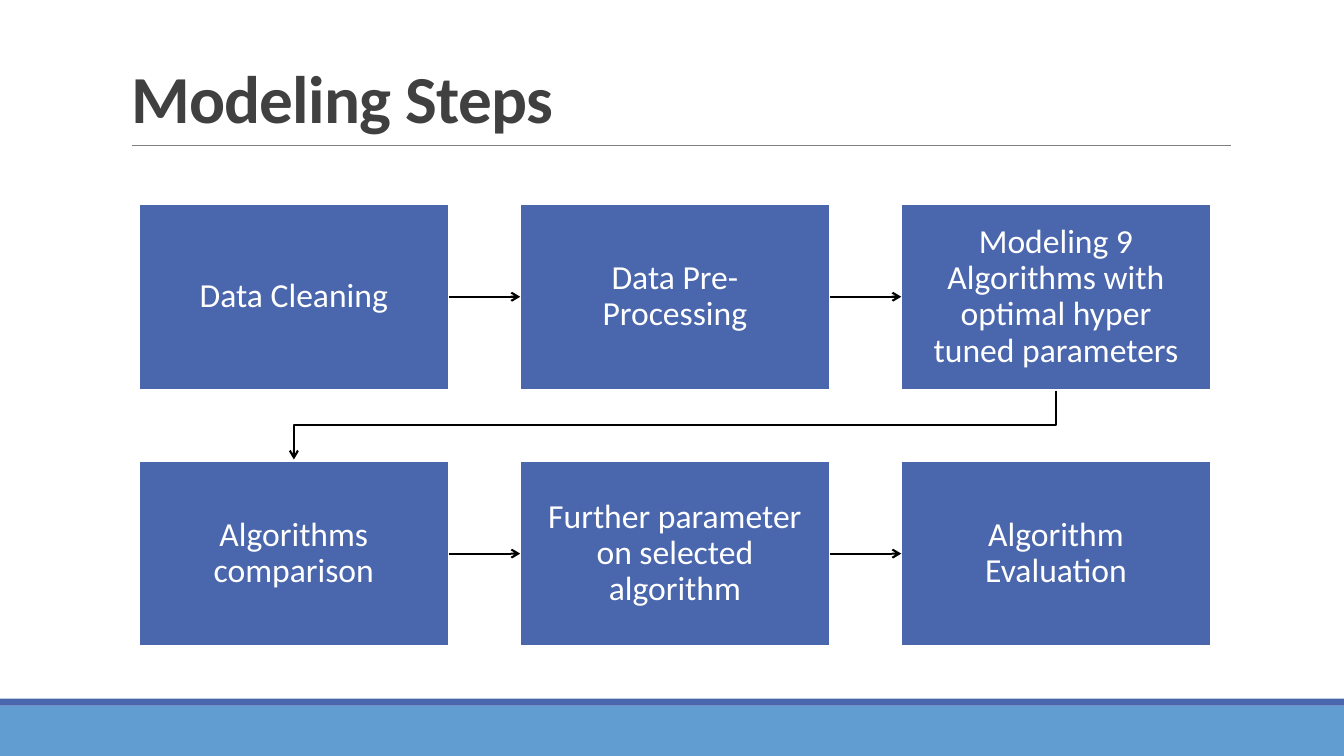
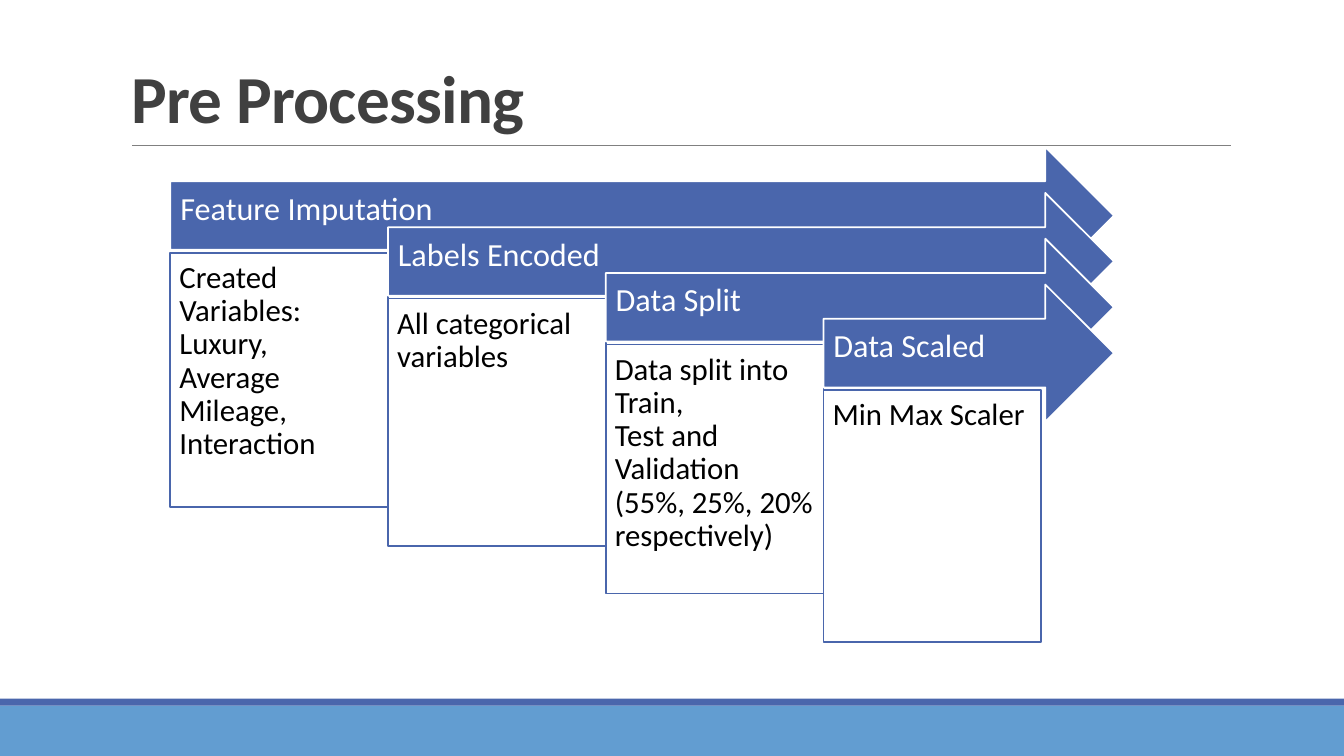
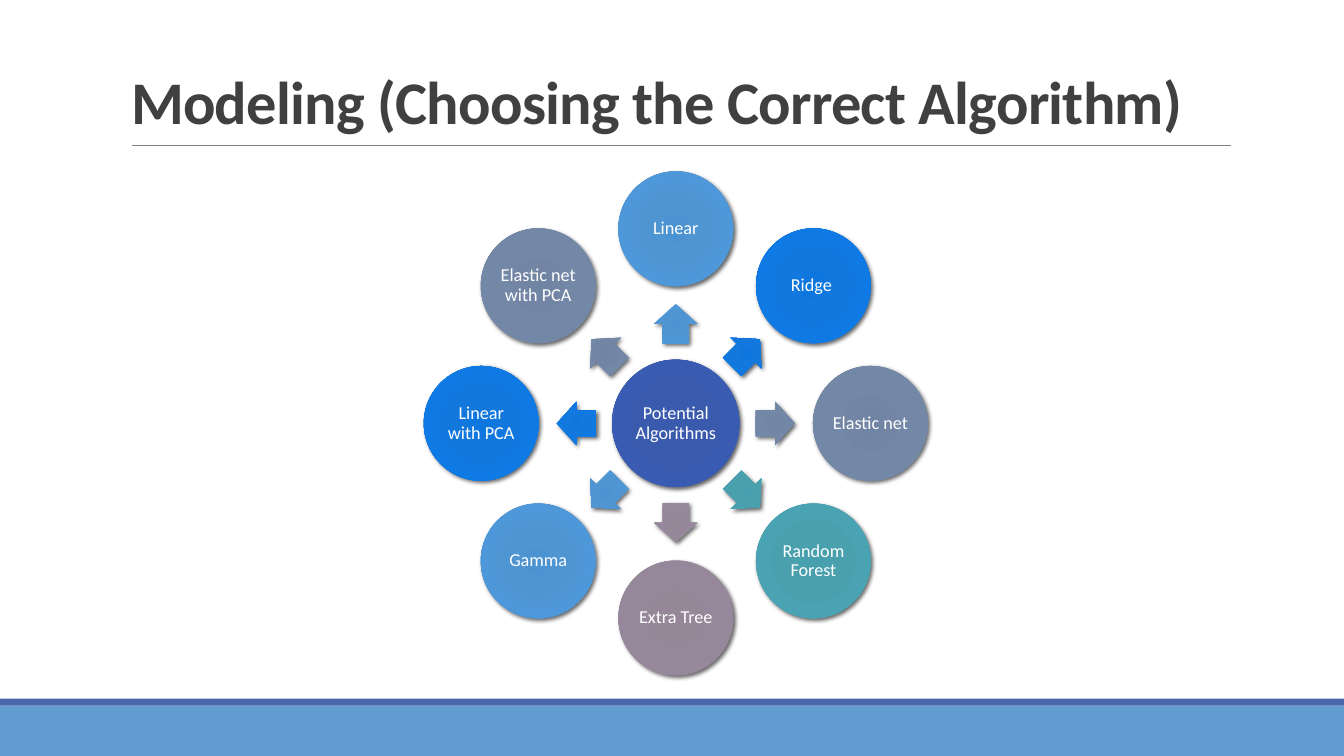
import math

from lxml import etree
from pptx import Presentation
from pptx.dml.color import RGBColor
from pptx.enum.shapes import MSO_CONNECTOR, MSO_SHAPE
from pptx.enum.text import MSO_ANCHOR, MSO_AUTO_SIZE, PP_ALIGN
from pptx.oxml.ns import qn
from pptx.util import Pt

RECT, ARROW, OVAL = MSO_SHAPE.RECTANGLE, MSO_SHAPE.RIGHT_ARROW, MSO_SHAPE.OVAL
STRAIGHT, ELBOW = MSO_CONNECTOR.STRAIGHT, MSO_CONNECTOR.ELBOW
LEFT, CENTER = PP_ALIGN.LEFT, PP_ALIGN.CENTER
TOP, MIDDLE, BOTTOM = MSO_ANCHOR.TOP, MSO_ANCHOR.MIDDLE, MSO_ANCHOR.BOTTOM

FONT = "Calibri"
COLORS = {
    "accent": "4A66AC", "band": "629DD1", "rule": "808080",
    "title": "404040", "white": "FFFFFF", "black": "000000",
}
# Radial gradient stops for the wheel, at the positions in STOPS
STOPS = (0, 34, 70, 100)
SHADES = {
    "indigo": ("3759AE", "3A5BAD", "395BB2", "4564B1"),
    "sky": ("4C93D2", "4F95D2", "4E97D8", "5C9DD7"),
    "blue": ("0E76DF", "1278DD", "0F79E4", "207FDE"),
    "slate": ("7084A3", "7385A4", "7387A7", "7D8EAB"),
    "teal": ("489FAE", "4BA0AE", "4AA3B2", "56A5B2"),
    "mauve": ("948497", "958698", "97879B", "9E8FA1"),
}

prs = Presentation()
prs.slide_width, prs.slide_height = Pt(960), Pt(540)


def put_shape(s, kind, x, y, w, h, fill, line=None, text="", size=24, color="white",
              inset=(0, 0, 0, 0), align=CENTER, anchor=MIDDLE):
    sp = s.shapes.add_shape(kind, Pt(x), Pt(y), Pt(w), Pt(h))
    sp.shadow.inherit = False
    sp.fill.solid()
    sp.fill.fore_color.rgb = RGBColor.from_string(COLORS[fill])
    if line:
        sp.line.color.rgb = RGBColor.from_string(COLORS[line])
        sp.line.width = Pt(1.25)
    else:
        sp.line.fill.background()
    if text:
        tf = sp.text_frame
        tf.text = text
        tf.word_wrap = True
        tf.vertical_anchor = anchor
        tf.margin_left, tf.margin_top, tf.margin_right, tf.margin_bottom = map(Pt, inset)
        p = tf.paragraphs[0]
        p.alignment = align
        p.line_spacing = 0.9
        for r in p.runs:
            r.font.name, r.font.size = FONT, Pt(size)
            r.font.color.rgb = RGBColor.from_string(COLORS[color])
    return sp


def put_line(s, kind, x1, y1, x2, y2, color, width, arrow=False):
    c = s.shapes.add_connector(kind, Pt(x1), Pt(y1), Pt(x2), Pt(y2))
    c.line.color.rgb = RGBColor.from_string(COLORS[color])
    c.line.width = Pt(width)
    if arrow:
        etree.SubElement(c.line._get_or_add_ln(), qn("a:tailEnd"), type="arrow")
    etree.SubElement(c._element.spPr, qn("a:effectLst"))
    return c


# Shared frame: bands, rule and title
slides = []
for title, size in (("Modeling Steps", 48), ("Pre Processing", 48),
                    ("Modeling (Choosing the Correct Algorithm)", 43.2)):
    s = prs.slides.add_slide(prs.slide_layouts[5])
    put_shape(s, RECT, 0, 504, 960, 36, "band")
    put_shape(s, RECT, 0, 499, 960, 5, "accent")
    put_line(s, STRAIGHT, 94.5, 103.5, 879, 103.5, "rule", 0.5)
    sp = s.shapes.title
    sp.left, sp.top, sp.width, sp.height = Pt(86.4), Pt(22.3), Pt(792), Pt(79.2)
    tf = sp.text_frame
    tf.text = title
    tf.word_wrap = True
    tf.auto_size = MSO_AUTO_SIZE.NONE
    tf.vertical_anchor = BOTTOM
    p = tf.paragraphs[0]
    p.alignment = LEFT
    p.line_spacing = 0.85
    r = p.runs[0]
    r.font.name, r.font.size, r.font.bold = FONT, Pt(size), True
    r.font.color.rgb = RGBColor.from_string(COLORS["title"])
    r._r.get_or_add_rPr().set("spc", "-50")
    slides.append(s)
steps_slide, prep_slide, wheel_slide = slides

# Slide 1: two rows of three steps
STEPS = ("Data Cleaning", "Data Pre- Processing",
         "Modeling 9 Algorithms with optimal hyper tuned parameters",
         "Algorithms comparison", "Further parameter on selected algorithm",
         "Algorithm Evaluation")
X0, Y0, BOX_W, BOX_H, DX, DY = 99.4, 145.7, 221, 132.5, 272.2, 183.5
boxes = []
for i, text in enumerate(STEPS):
    row, col = divmod(i, 3)
    boxes.append(put_shape(steps_slide, RECT, X0 + col * DX, Y0 + row * DY, BOX_W, BOX_H,
                           "accent", "white", text, inset=(13.7,) * 4))
for i in (0, 1, 3, 4):
    c = put_line(steps_slide, STRAIGHT, 0, 0, 0, 0, "black", 1.5, arrow=True)
    c.begin_connect(boxes[i], 3)
    c.end_connect(boxes[i + 1], 1)

# The elbow is laid out upright, then turned to run from row 1 down to row 2
cx, cy = X0 + DX + BOX_W / 2, Y0 + (BOX_H + DY) / 2
half_drop, half_run = (DY - BOX_H) / 2 - 1, DX
c = put_line(steps_slide, ELBOW, cx - half_drop, cy - half_run, cx + half_drop,
             cy + half_run, "black", 1.5, arrow=True)
c.rotation = 90

# Slide 2: staggered arrows, each with a detail box below
STAGES = (
    ("Feature Imputation", "Created Variables: Luxury, \vAverage Mileage, Interaction", 181.5),
    ("Labels Encoded", "All categorical variables", 177),
    ("Data Split",
     "Data split into Train, \vTest and Validation (55%, 25%, 20% respectively)", 178),
    ("Data Scaled", "Min Max Scaler", 180),
)
COL_W, RIGHT_EDGE = 155.5, 795.7
for i, (head, detail, height) in enumerate(STAGES):
    x, y = 121.7 + i * COL_W, 105 + i * 32.75
    put_shape(prep_slide, ARROW, x, y, RIGHT_EDGE - x, 98, "accent", "white", head, 23,
              inset=(7.2, 7.2, 20, 15.6), align=LEFT)
    put_shape(prep_slide, RECT, x, y + 75.5, COL_W, height, "white", "accent", detail, 22,
              "black", inset=(6.5,) * 4, align=LEFT, anchor=TOP)

# Slide 3: hub with eight algorithms, clockwise from the top
ALGORITHMS = (("Linear", "sky"), ("Ridge ", "blue"), ("Elastic net", "slate"),
              ("Random Forest", "teal"), ("Extra Tree", "mauve"), ("Gamma", "sky"),
              ("Linear with PCA", "blue"), ("Elastic net with PCA", "slate"))
CX, CY, HUB, DISC, ARROW_W, ARROW_H = 482.7, 302.4, 91, 82, 28, 31
wheel = [(put_shape(wheel_slide, OVAL, CX - HUB / 2, CY - HUB / 2, HUB, HUB, "accent",
                    text="Potential Algorithms", size=13, inset=(1.4,) * 4), "indigo")]
for i, (text, shade) in enumerate(ALGORITHMS):
    angle = i * 45 - 90
    ux, uy = math.cos(math.radians(angle)), math.sin(math.radians(angle))
    sp = put_shape(wheel_slide, ARROW, CX + 71 * ux - ARROW_W / 2,
                   CY + 71 * uy - ARROW_H / 2, ARROW_W, ARROW_H, "accent")
    sp.adjustments[0], sp.adjustments[1] = 0.6, 0.5
    sp.rotation = angle % 360
    wheel.append((sp, shade))
    sp = put_shape(wheel_slide, OVAL, CX + 139 * ux - DISC / 2, CY + 139 * uy - DISC / 2,
                   DISC, DISC, "accent", text=text, size=13, inset=(1.4,) * 4)
    wheel.append((sp, shade))

# Radial gradient and soft shadow on every wheel part
for sp, shade in wheel:
    sp.fill.gradient()
    grad = sp._element.spPr.find(qn("a:gradFill"))
    grad.clear()
    stops = etree.SubElement(grad, qn("a:gsLst"))
    for pos, color in zip(STOPS, SHADES[shade]):
        stop = etree.SubElement(stops, qn("a:gs"), pos=str(pos * 1000))
        etree.SubElement(stop, qn("a:srgbClr"), val=color)
    radial = etree.SubElement(grad, qn("a:path"), {"path": "circle"})
    etree.SubElement(radial, qn("a:fillToRect"), {side: "100000" for side in "ltrb"})
    shadow = etree.SubElement(sp._element.spPr.find(qn("a:effectLst")), qn("a:outerShdw"),
                              blurRad=str(Pt(3)), dist=str(Pt(2)), dir=str(45 * 60000))
    tint = etree.SubElement(shadow, qn("a:srgbClr"), val=COLORS["black"])
    etree.SubElement(tint, qn("a:alpha"), val="60000")

prs.save("out.pptx")
